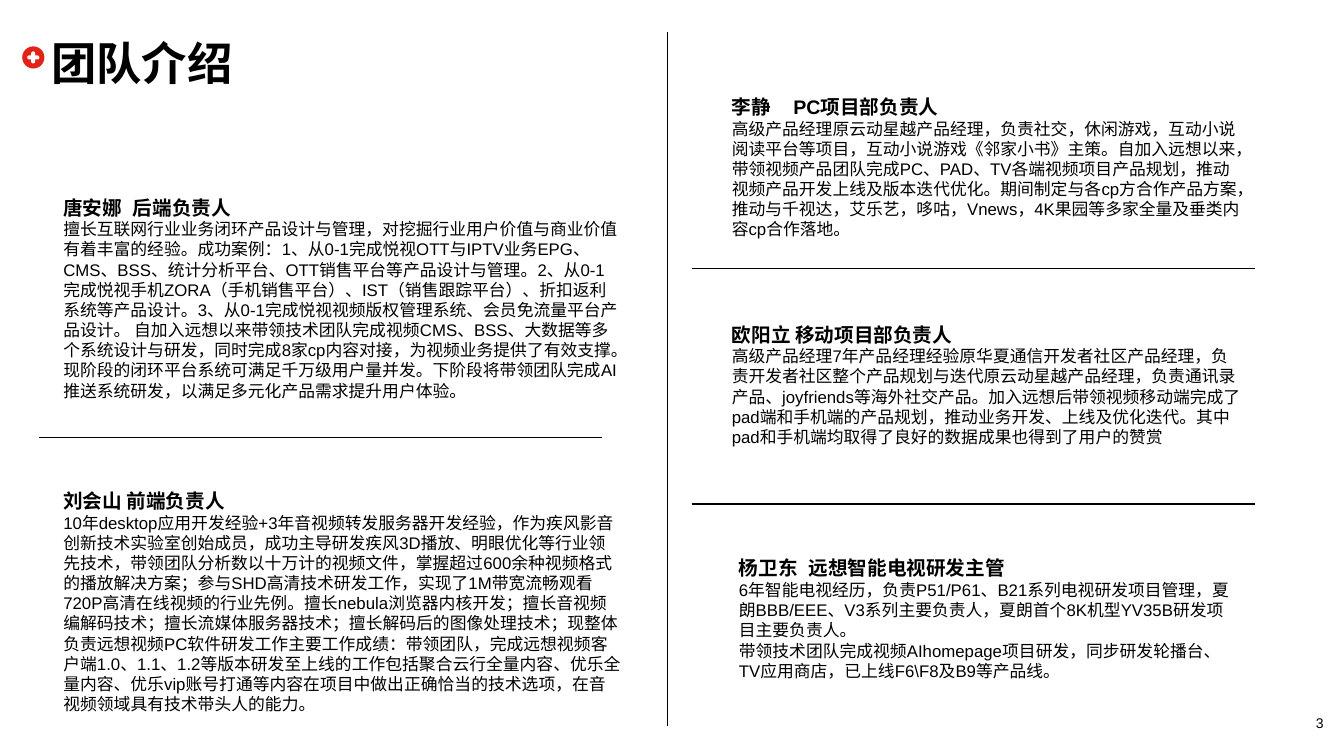
"""Build the team introduction slide with five member profiles."""
from lxml import etree
from pptx import Presentation
from pptx.dml.color import RGBColor
from pptx.enum.shapes import MSO_CONNECTOR as CONN, MSO_SHAPE as SHAPE
from pptx.enum.text import MSO_ANCHOR as ANCHOR, PP_ALIGN as ALIGN
from pptx.oxml.ns import qn
from pptx.util import Inches, Pt

BLACK = RGBColor(0x00, 0x00, 0x00)
WHITE = RGBColor(0xFF, 0xFF, 0xFF)
RED = RGBColor(0xE2, 0x23, 0x1A)
FONT = "Arial"

PROFILES = [
    (7.16, 0.89, 5.29, 1.55, 0.61, "李静\tPC项目部负责人", [
        "高级产品经理原云动星越产品经理，负责社交，休闲游戏，互动小说阅读平台等项目，"
        "互动小说游戏《邻家小书》主策。自加入远想以来，带领视频产品团队完成PC、PAD、TV"
        "各端视频项目产品规划，推动视频产品开发上线及版本迭代优化。期间制定与各cp方合作产品方案，"
        "推动与千视达，艾乐艺，哆咕，Vnews，4K果园等多家全量及垂类内容cp合作落地。"]),
    (7.16, 3.15, 5.27, 1.35, None, "欧阳立 移动项目部负责人", [
        "高级产品经理7年产品经理经验原华夏通信开发者社区产品经理，"
        "负责开发者社区整个产品规划与迭代原云动星越产品经理，负责通讯录产品、joyfriends等海外社交产品。"
        "加入远想后带领视频移动端完成了pad端和手机端的产品规划，推动业务开发、上线及优化迭代。"
        "其中pad和手机端均取得了良好的数据成果也得到了用户的赞赏"]),
    (7.23, 5.47, 5.12, 1.35, 0.69, "杨卫东\t远想智能电视研发主管", [
        "6年智能电视经历，负责P51/P61、B21系列电视研发项目管理，"
        "夏朗BBB/EEE、V3系列主要负责人，夏朗首个8K机型YV35B研发项目主要负责人。",
        "带领技术团队完成视频AIhomepage项目研发，同步研发轮播台、TV应用商店，"
        "已上线F6\\F8及B9等产品线。"]),
    (0.53, 1.89, 5.73, 2.15, 0.69, "唐安娜\t后端负责人", [
        "擅长互联网行业业务闭环产品设计与管理，对挖掘行业用户价值与商业价值有着丰富的经验。"
        "成功案例：1、从0-1完成悦视OTT与IPTV业务EPG、CMS、BSS、统计分析平台、"
        "OTT销售平台等产品设计与管理。2、从0-1完成悦视手机ZORA（手机销售平台）、"
        "IST（销售跟踪平台）、折扣返利系统等产品设计。3、从0-1完成悦视视频版权管理系统、"
        "会员免流量平台产品设计。 自加入远想以来带领技术团队完成视频CMS、BSS、"
        "大数据等多个系统设计与研发，同时完成8家cp内容对接，为视频业务提供了有效支撑。"
        "现阶段的闭环平台系统可满足千万级用户量并发。下阶段将带领团队完成AI推送系统研发，"
        "以满足多元化产品需求提升用户体验。"]),
    (0.53, 4.8, 5.73, 2.83, None, "刘会山 前端负责人", [
        "10年desktop应用开发经验+3年音视频转发服务器开发经验，作为疾风影音创新技术实验室创始成员，"
        "成功主导研发疾风3D播放、明眼优化等行业领先技术，带领团队分析数以十万计的视频文件，"
        "掌握超过600余种视频格式的播放解决方案；参与SHD高清技术研发工作，"
        "实现了1M带宽流畅观看720P高清在线视频的行业先例。擅长nebula浏览器内核开发；"
        "擅长音视频编解码技术；擅长流媒体服务器技术；擅长解码后的图像处理技术；"
        "现整体负责远想视频PC软件研发工作主要工作成绩：带领团队，完成远想视频客户端1.0、1.1、1.2"
        "等版本研发至上线的工作包括聚合云行全量内容、优乐全量内容、优乐vip账号打通等内容"
        "在项目中做出正确恰当的技术选项，在音视频领域具有技术带头人的能力。"]),
]
DIVIDERS = [
    (0.39, 4.34, 5.97, 4.34),
    (6.86, 2.66, 12.45, 2.66),
    (6.86, 5, 12.45, 5),
    (6.62, 0.32, 6.62, 7.2),
]
ICON_PARTS = [
    (SHAPE.OVAL, 0.22, 0.46, 0.22, 0.22, RED),
    (SHAPE.ROUNDED_RECTANGLE, 0.27, 0.55, 0.12, 0.04, WHITE),
    (SHAPE.ROUNDED_RECTANGLE, 0.31, 0.51, 0.04, 0.12, WHITE),
]


def add_box(left, top, width, height):
    sp = slide.shapes.add_textbox(Inches(left), Inches(top), Inches(width), Inches(height))
    sp.text_frame.word_wrap = True
    return sp.text_frame


def add_run(p, text, size, bold=False):
    r = p.add_run()
    r.text = text
    r.font.name = FONT
    r.font.size = Pt(size)
    r.font.bold = bold
    r.font.color.rgb = BLACK


prs = Presentation()
prs.slide_width = Inches(13.33)
prs.slide_height = Inches(7.5)
slide = prs.slides.add_slide(prs.slide_layouts[6])

for kind, left, top, width, height, color in ICON_PARTS:
    sp = slide.shapes.add_shape(kind, Inches(left), Inches(top), Inches(width), Inches(height))
    sp.shadow.inherit = False
    sp.fill.solid()
    sp.fill.fore_color.rgb = color
    sp.line.fill.background()
    if kind == SHAPE.ROUNDED_RECTANGLE:
        sp.adjustments[0] = 0.5

tf = add_box(12.85, 6.99, 0.48, 0.27)
tf.margin_left = tf.margin_right = tf.margin_top = tf.margin_bottom = 0
tf.vertical_anchor = ANCHOR.BOTTOM
tf.paragraphs[0].alignment = ALIGN.CENTER
add_run(tf.paragraphs[0], "3", 10)

tf = add_box(0.41, 0.32, 12.11, 0.57)
tf.margin_bottom = 0
tf.vertical_anchor = ANCHOR.BOTTOM
add_run(tf.paragraphs[0], "团队介绍", 32.4, True)

for left, top, width, height, tab, heading, paragraphs in PROFILES:
    tf = add_box(left, top, width, height)
    p = tf.paragraphs[0]
    if tab:
        tabs = etree.SubElement(p._p.get_or_add_pPr(), qn("a:tabLst"))
        etree.SubElement(tabs, qn("a:tab"), pos=str(Inches(tab)), algn="l")
    add_run(p, heading, 14, True)
    for text in paragraphs:
        add_run(tf.add_paragraph(), text, 12)

for x1, y1, x2, y2 in DIVIDERS:
    line = slide.shapes.add_connector(CONN.STRAIGHT, Inches(x1), Inches(y1), Inches(x2), Inches(y2))
    line.line.color.rgb = BLACK
    line.line.width = Pt(0.75)
    etree.SubElement(line._element.spPr, qn("a:effectLst"))

prs.save("out.pptx")
